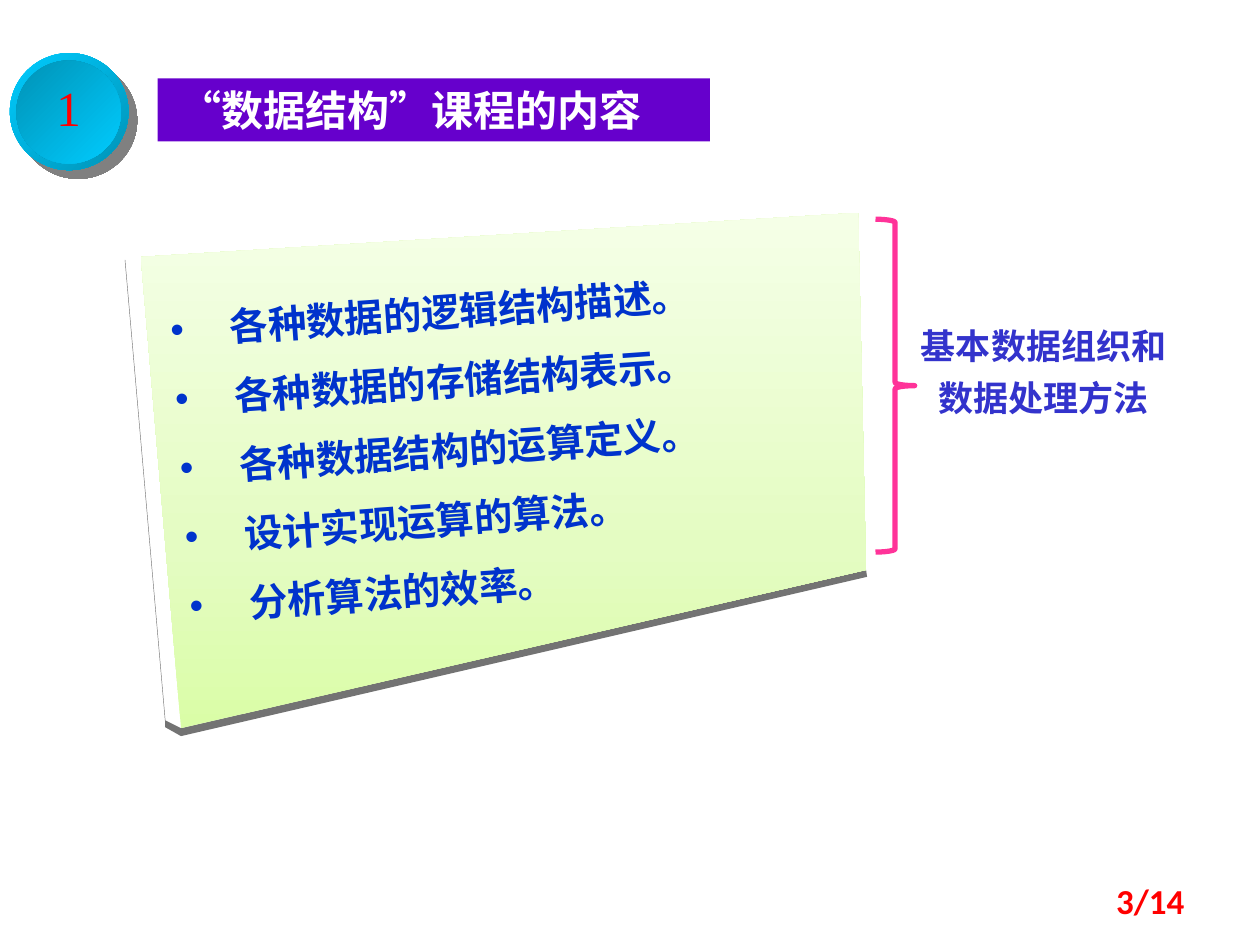
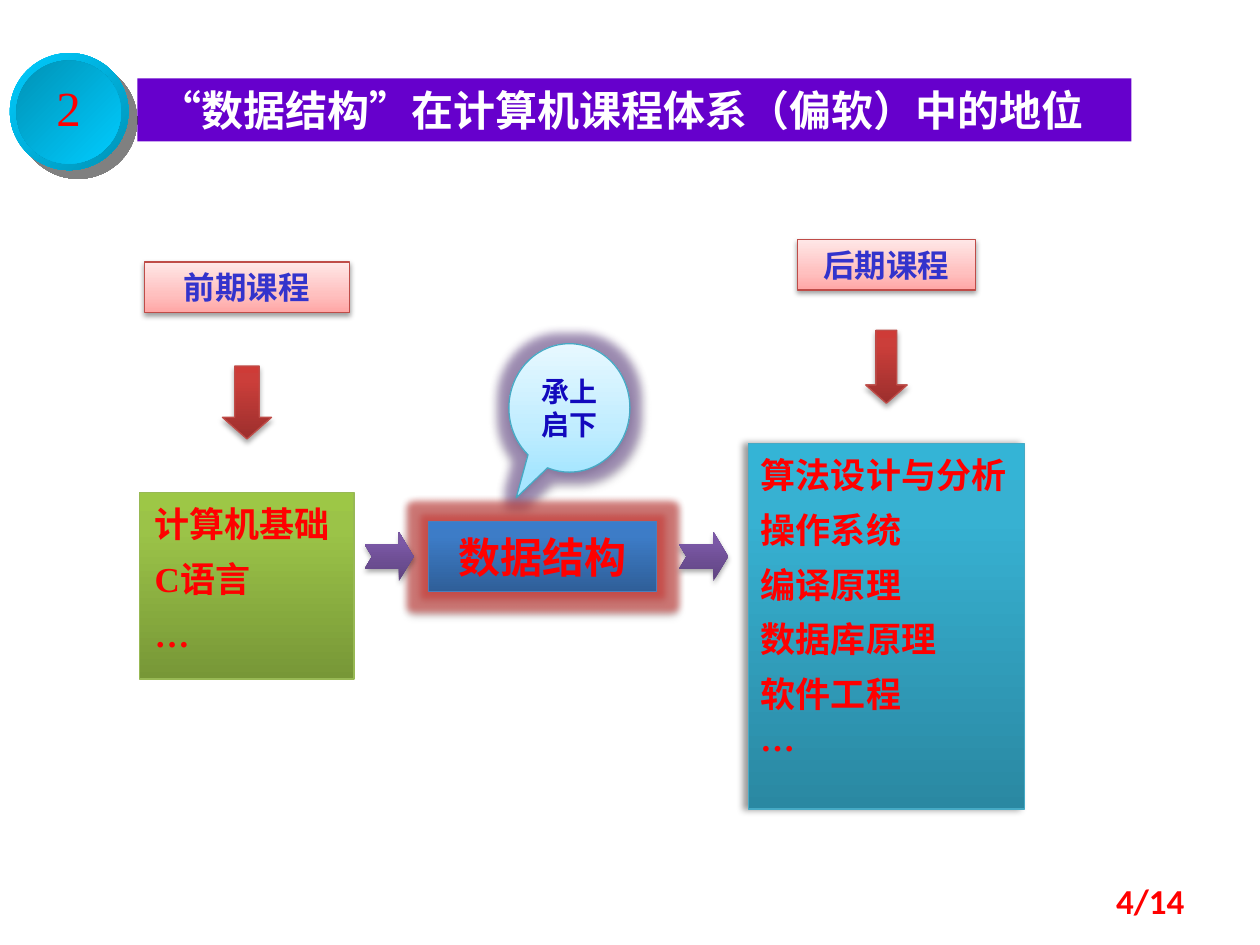
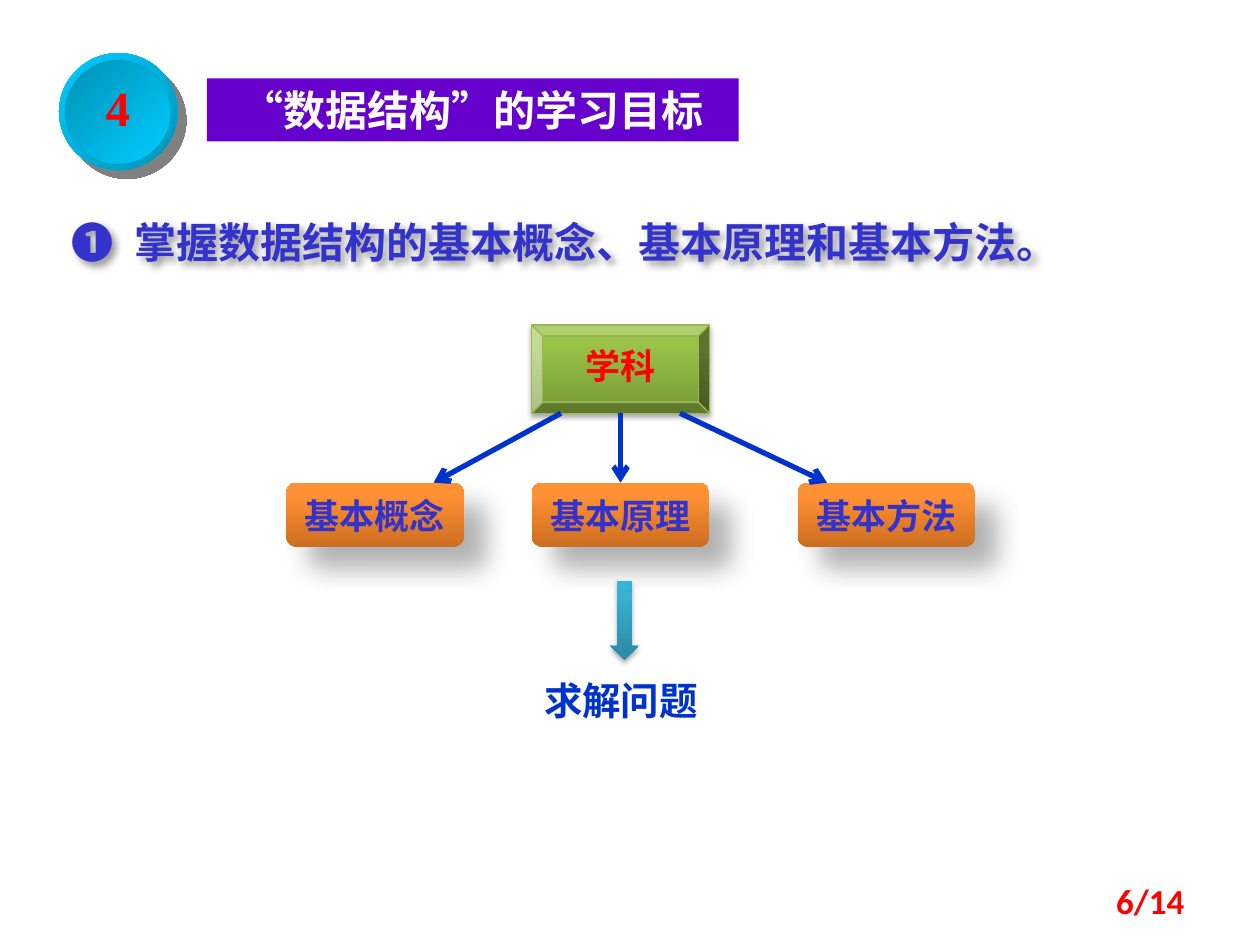
from lxml import etree
from pptx import Presentation
from pptx.dml.color import RGBColor
from pptx.enum.shapes import MSO_CONNECTOR, MSO_SHAPE
from pptx.enum.text import MSO_ANCHOR, PP_ALIGN
from pptx.oxml.ns import qn
from pptx.util import Cm, Pt

RECTANGLE, ELLIPSE = MSO_SHAPE.RECTANGLE, MSO_SHAPE.OVAL
ROUNDED, BEVEL = MSO_SHAPE.ROUNDED_RECTANGLE, MSO_SHAPE.BEVEL
DOWN_ARROW, NOTCHED = MSO_SHAPE.DOWN_ARROW, MSO_SHAPE.NOTCHED_RIGHT_ARROW
CALLOUT, BRACE = MSO_SHAPE.OVAL_CALLOUT, MSO_SHAPE.RIGHT_BRACE
STRAIGHT = MSO_CONNECTOR.STRAIGHT
LEFT, CENTER, RIGHT = PP_ALIGN.LEFT, PP_ALIGN.CENTER, PP_ALIGN.RIGHT
TOP, MIDDLE = MSO_ANCHOR.TOP, MSO_ANCHOR.MIDDLE

SANS, SERIF, FOOTER_FONT = "Noto Sans CJK SC", "Times New Roman", "Calibri"
PURPLE, WHITE, RED, INDIGO, BLUE = "6600CC", "FFFFFF", "FF0000", "3333CC", "0033CC"
PINK, GRAY, CALLOUT_TEXT = "FF3399", "737373", "1209BD"
RED_EDGE, GREEN_EDGE, TEAL_EDGE, BLUE_EDGE = "BF4C48", "98B955", "46AAC5", "4B7EBC"


def shades(dark, middle, light, middle_at=80):
    """Return a three-stop gradient that rises from the bottom."""
    return [(0, dark), (middle_at, middle), (100, light)], 270


BADGE_RIM = [(0, "00CCFF"), (100, "0092B6")], 45
BADGE_FACE = [(0, "0092B6"), (100, "00CCFF")], 45
LIME = shades("DAFDA7", "E4FCC2", "F5FFE7", 35)
ROSE = shades("FFA6A5", "FFC0BF", "FFE7E7", 35)
SKY = shades("A7E6FF", "C1EDFF", "E7F8FF", 35)
GREEN = shades("779737", "9BC348", "9DC746")
BRICK = shades("9C2F2D", "CB3E3A", "CE3B37")
TEAL = shades("2A88A2", "37B1D2", "34B4D6")
VIOLET = shades("5F4480", "7B58A6", "7C57A8")
NAVY = shades("2F5F99", "3D7CC7", "3A7CCB")
ORANGE = shades("CC6E20", "FF9034", "FF9136")

SOFT = ("000000", 38, 3.1, 1.6, 90)
FIRM = ("000000", 35, 3.1, 1.8, 90)
SIDE = ("000000", 40, 4, 3, 180)
DEEP = ("000000", 30, 15, 18, 45)
BADGE_SHADOW = ("020202", 50, 0, 7.1, 45)
TITLE_SHADOW = ("000000", 40, 4, 3, 45)


def rgb(value):
    """Turn a hex string into a colour."""
    return RGBColor.from_string(value)


def add_color(parent, value, alpha=None):
    """Add a colour element with optional opacity in percent."""
    color = etree.SubElement(parent, qn("a:srgbClr"), val=value)
    if alpha is not None:
        etree.SubElement(color, qn("a:alpha"), val=str(alpha * 1000))


def paint(shape, fill=None, line=None, line_width=0.75, shadow=None, glow=None):
    """Set fill, outline, glow and shadow of a shape."""
    shape.shadow.inherit = False
    shape.fill.background()
    if isinstance(fill, str):
        shape.fill.solid()
        shape.fill.fore_color.rgb = rgb(fill)
    elif fill:
        stops, angle = fill
        gradient = etree.Element(qn("a:gradFill"), rotWithShape="1")
        stop_list = etree.SubElement(gradient, qn("a:gsLst"))
        for position, color in stops:
            add_color(etree.SubElement(stop_list, qn("a:gs"), pos=str(position * 1000)), color)
        etree.SubElement(gradient, qn("a:lin"), ang=str(angle * 60000), scaled="0")
        properties = shape._element.spPr
        properties.replace(properties.find(qn("a:noFill")), gradient)
    if line:
        shape.line.color.rgb = rgb(line)
        shape.line.width = Pt(line_width)
    else:
        shape.line.fill.background()
    effects = shape._element.spPr.find(qn("a:effectLst"))
    if glow:
        color, alpha, radius = glow
        add_color(etree.SubElement(effects, qn("a:glow"), rad=str(Pt(radius))), color, alpha)
    if shadow:
        color, alpha, blur, distance, angle = shadow
        outer = etree.SubElement(effects, qn("a:outerShdw"), blurRad=str(Pt(blur)),
                                 dist=str(Pt(distance)), dir=str(angle * 60000),
                                 algn="ctr", rotWithShape="0")
        add_color(outer, color, alpha)


def add_box(page, kind, box, **style):
    """Add a painted preset shape in a box given in centimetres."""
    shape = page.shapes.add_shape(kind, *map(Cm, box))
    paint(shape, **style)
    return shape


def add_label(page, box):
    """Add an empty text box in a box given in centimetres."""
    return page.shapes.add_textbox(*map(Cm, box))


def write(shape, lines, size, color, font=SANS, bold=True, align=CENTER, anchor=MIDDLE,
          inset=(0.25, 0.13, 0.25, 0.13), spacing=None, before=0, hanging=0,
          bullet=None, wrap=True):
    """Fill a shape with one paragraph for each line."""
    frame = shape.text_frame
    frame.word_wrap = wrap
    frame.vertical_anchor = anchor
    (frame.margin_left, frame.margin_top,
     frame.margin_right, frame.margin_bottom) = map(Cm, inset)
    for index, line in enumerate(lines):
        para = frame.add_paragraph() if index else frame.paragraphs[0]
        para.alignment = align
        if spacing:
            para.line_spacing = spacing
        if before and index:
            para.space_before = Pt(before)
        if hanging:
            properties = para._p.get_or_add_pPr()
            properties.set("marL", str(Cm(hanging)))
            properties.set("indent", str(-Cm(hanging)))
        if bullet:
            etree.SubElement(properties, qn("a:buFont"), typeface="Arial")
            etree.SubElement(properties, qn("a:buChar"), char=bullet)
        span = para.add_run()
        span.text = line
        span.font.size = Pt(size)
        span.font.bold = bold
        span.font.color.rgb = rgb(color)
        span.font.name = font
        run_properties = span._r.get_or_add_rPr()
        run_properties.set("lang", "zh-CN")
        etree.SubElement(run_properties, qn("a:ea"), typeface=SANS)


def add_line(page, start, end, color, width, arrow=False):
    """Draw a straight connector, with an open arrowhead if asked."""
    line = page.shapes.add_connector(STRAIGHT, *map(Cm, (*start, *end)))
    line.line.color.rgb = rgb(color)
    line.line.width = Pt(width)
    if arrow:
        etree.SubElement(line.line._get_or_add_ln(), qn("a:tailEnd"), type="arrow")
    etree.SubElement(line._element.spPr, qn("a:effectLst"))
    return line


def add_outline(page, origin, points, fill):
    """Draw a closed polygon with points relative to an origin."""
    corners = [(Cm(origin[0] + x), Cm(origin[1] + y)) for x, y in points]
    builder = page.shapes.build_freeform(*corners[0])
    builder.add_line_segments(corners[1:], close=True)
    paint(builder.convert_to_shape(), fill)


def add_page(deck, number):
    """Add a blank slide with its page number."""
    page = deck.slides.add_slide(deck.slide_layouts[6])
    write(add_label(page, (18.21, 17.65, 5.92, 1.02)), [f"{number}/14"], 20, RED,
          FOOTER_FONT, align=RIGHT)
    return page


def add_heading(page, number, title, badge_left, band_left, band_width,
                align=LEFT, bold_number=False):
    """Add the round number badge and the title band."""
    band = add_box(page, RECTANGLE, (band_left, 1.58, band_width, 1.27), fill=PURPLE)
    write(band, [title], 24, WHITE, align=align)
    add_box(page, ELLIPSE, (badge_left, 1.07, 2.39, 2.36), fill=BADGE_RIM, shadow=BADGE_SHADOW)
    face = add_box(page, ELLIPSE, (badge_left + 0.13, 1.22, 2.11, 2.08), fill=BADGE_FACE)
    write(face, [number], 28, RED, SERIF, bold_number, spacing=0.8, wrap=False)


def add_panel(page, box, topics):
    """Draw the tilted topic board with its bulleted text."""
    left, top, width, height = box
    origin = left, top
    bottom_left, bottom_right = (1.13, 10.39), (width - 0.02, 7.2)
    add_outline(page, origin, [(0, 0.95), (0.32, 0.89), bottom_left, (0.81, 10.23)], WHITE)
    add_outline(page, origin, [bottom_left, bottom_right, (width, 7.34), (1.13, height),
                               (0.81, 10.37), (0.81, 10.23)], GRAY)
    add_outline(page, origin, [(0.32, 0.89), (width - 0.18, 0), bottom_right, bottom_left], LIME)
    add_line(page, (left, top + 0.95), (left + 0.81, top + 10.23), GRAY, 0.25)
    text = add_label(page, (left + 1.08, top + 1, 12.7, 7))
    text.rotation = -4
    write(text, topics, 22, BLUE, align=LEFT, anchor=TOP, inset=(0, 0, 0, 0),
          spacing=Pt(39.5), hanging=1.2, bullet="•")


def add_summary(page, box, summary):
    """Draw the brace and the summary beside it."""
    left, top, width, height = box
    add_box(page, BRACE, (left, top, 0.79, height), line=PINK, line_width=3)
    write(add_label(page, (left + 0.61, top + 1.78, width - 0.61, 2.29)), [summary], 20, INDIGO,
          anchor=TOP, spacing=Pt(30))


def add_course_column(page, box, label, courses, label_width, list_height, arrow_width,
                      fill, edge, font, side_inset, shadow=None):
    """Stack a label, a down arrow and a course list on one axis."""
    left, top, width, height = box
    axis, label_height, arrow_height = left + width / 2, 1.02, 1.47
    list_top = top + height - list_height
    heading = add_box(page, RECTANGLE, (axis - label_width / 2, top, label_width, label_height),
                      fill=ROSE, line=RED_EDGE, shadow=SOFT)
    write(heading, [label], 18, INDIGO)
    arrow_top = (top + label_height + list_top - arrow_height) / 2
    arrow = add_box(page, DOWN_ARROW, (axis - arrow_width / 2, arrow_top, arrow_width, arrow_height),
                    fill=BRICK, line=RED_EDGE, shadow=FIRM)
    arrow.adjustments[1] = 0.44
    listing = add_box(page, RECTANGLE, (left, list_top, width, list_height),
                      fill=fill, line=edge, shadow=shadow)
    write(listing, courses, 20, RED, font, align=LEFT, anchor=TOP,
          inset=(side_inset, 0.3, side_inset, 0.3), spacing=Pt(21), before=10.4)


def add_core_course(page, box):
    """Draw the central course with its callout and the arrows beside it."""
    left, top, width, height = box
    callout = add_box(page, CALLOUT, (left + 1.62, top - 3.59, 2.44, 2.59), fill=SKY,
                      line=TEAL_EDGE, shadow=SOFT, glow=("8064A2", 60, 11))
    callout.adjustments[0], callout.adjustments[1] = -0.44, 0.7
    write(callout, ["承上启下"], 16, CALLOUT_TEXT)
    core = add_box(page, RECTANGLE, box, fill=NAVY, line=BLUE_EDGE, shadow=FIRM,
                   glow=("CB3E3A", 60, 8))
    write(core, ["数据结构"], 24, RED)
    size = 0.99
    for arrow_left in (left - 0.3 - size, left + width + 0.45):
        arrow = add_box(page, NOTCHED, (arrow_left, top + (height - size) / 2, size, size),
                        fill=VIOLET, shadow=FIRM)
        arrow.adjustments[1] = 0.3


def add_goal_tree(page, box):
    """Draw the subject, its three basics and the result below."""
    left, top, width, height = box
    node_width, subject_height, basics_top = 3.58, 1.78, top + 3.18
    subject_left = left + 4.95
    axis = subject_left + node_width / 2
    subject = add_box(page, BEVEL, (subject_left, top, node_width, subject_height),
                      fill=GREEN, line=GREEN_EDGE, shadow=FIRM)
    write(subject, ["学科"], 20, RED, spacing=0.8)
    basics = (("基本概念", left, -1.2, left + 2.97),
              ("基本原理", subject_left, 0, axis),
              ("基本方法", left + width - node_width, 1.2, left + 10.9))
    for name, node_left, start_shift, end in basics:
        node = add_box(page, ROUNDED, (node_left, basics_top, node_width, 1.3),
                       fill=ORANGE, shadow=DEEP)
        write(node, [name], 20, INDIGO, SERIF, inset=(0.25, 0.3, 0.25, 0.13), spacing=0.8)
        line = add_line(page, (axis + start_shift, top + subject_height), (end, basics_top),
                        BLUE, 3, arrow=True)
        if not start_shift:
            line.end_connect(node, 0)
    add_box(page, DOWN_ARROW, (axis - 0.21, top + 5.16, 0.58, 1.6), fill=TEAL, shadow=FIRM)
    write(add_label(page, (subject_left, top + height - 1.02, 3.96, 1.02)), ["求解问题"], 22, BLUE,
          align=LEFT, spacing=0.8)


def build_contents(deck):
    """Build the slide on what the course covers."""
    page = add_page(deck, 3)
    add_heading(page, "1", " “数据结构”课程的内容", 0.2, 3.18, 11.13)
    add_panel(page, (2.52, 4.29, 14.96, 10.55), [
        "各种数据的逻辑结构描述。", "各种数据的存储结构表示。", "各种数据结构的运算定义。",
        "设计实现运算的算法。", "分析算法的效率。"])
    add_summary(page, (17.65, 4.42, 6.17, 6.71), "基本数据组织和数据处理方法")


def build_position(deck):
    """Build the slide on the place of the course among others."""
    page = add_page(deck, 4)
    add_heading(page, "2", " “数据结构”在计算机课程体系（偏软）中的地位", 0.2, 2.77, 20.04)
    add_course_column(page, (2.82, 5.28, 4.32, 8.41), "前期课程", ["计算机基础", "C语言", "…"],
                      4.14, 3.76, 0.99, GREEN, GREEN_EDGE, SERIF, 0.3)
    add_course_column(page, (15.09, 4.83, 5.56, 11.48), "后期课程",
                      ["算法设计与分析", "操作系统", "编译原理", "数据库原理", "软件工程", "…"],
                      3.58, 7.37, 0.84, TEAL, TEAL_EDGE, SANS, 0.25, SIDE)
    add_core_course(page, (8.64, 10.52, 4.6, 1.4))


def build_goals(deck):
    """Build the slide on the learning goals."""
    page = add_page(deck, 6)
    add_heading(page, "4", "“数据结构”的学习目标", 1.19, 4.17, 10.72, CENTER, True)
    goal = add_label(page, (1.19, 4.24, 21.82, 1.27))
    paint(goal, shadow=TITLE_SHADOW)
    write(goal, ["❶\t掌握数据结构的基本概念、基本原理和基本方法。"], 24, INDIGO, SERIF,
          align=LEFT, hanging=1.27)
    add_goal_tree(page, (5.77, 6.55, 13.89, 8.16))


def main():
    """Build and save the deck."""
    deck = Presentation()
    deck.slide_width, deck.slide_height = Cm(25.4), Cm(19.05)
    build_contents(deck)
    build_position(deck)
    build_goals(deck)
    deck.save("out.pptx")


if __name__ == "__main__":
    main()
